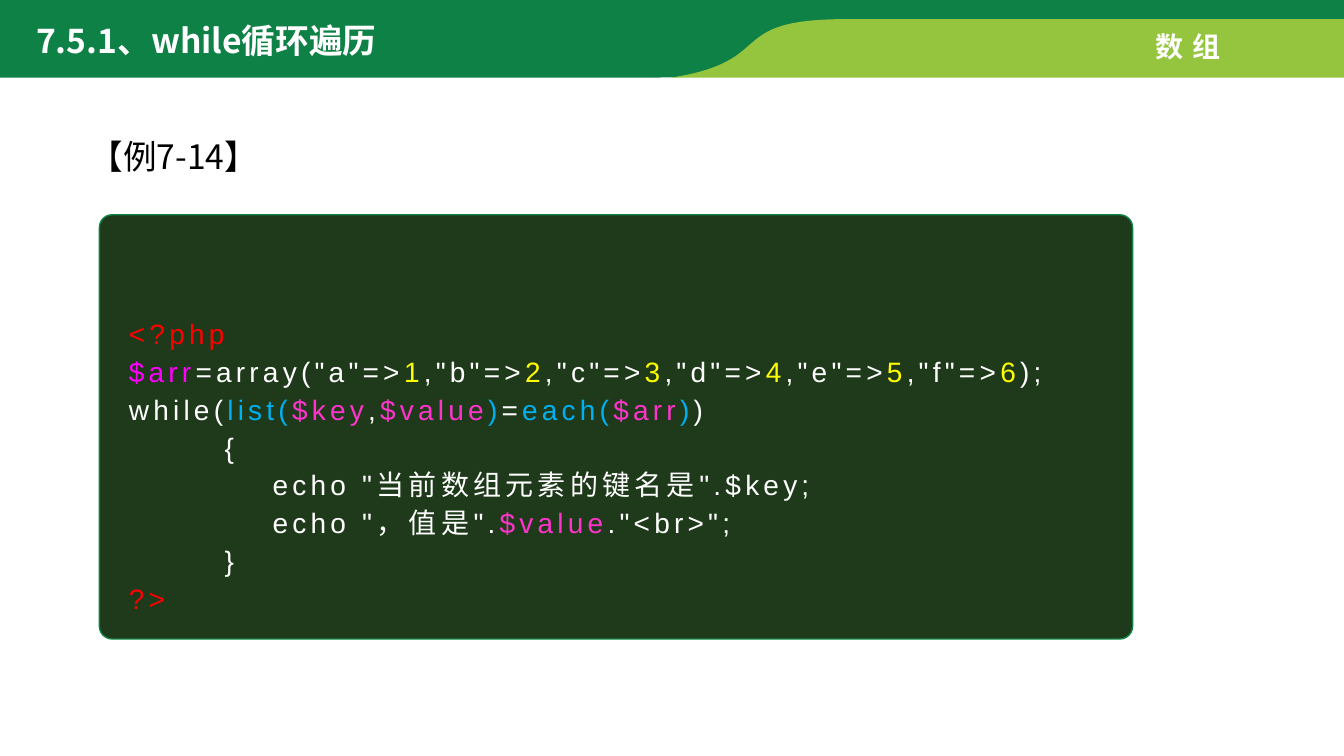
import pptx
import pptx.dml.color
import pptx.enum.shapes
import pptx.enum.text
import pptx.util

Pt = pptx.util.Pt
SANS = "Noto Sans CJK SC"
WHITE, RED, YELLOW = "FFFFFF", "FF0000", "FFFF00"
MAGENTA, PINK, BLUE = "FF00FF", "FF33CC", "00B0F0"
GREEN, LIME, DARK = "0E8146", "95C53E", "1E3A1A"


def colour(code):
    return pptx.dml.color.RGBColor.from_string(code)


def write(para, text, size=20, ink=WHITE, font="Arial", bold=False, spacing=0):
    span = para.add_run()
    span.text = text
    span.font.size = Pt(size)
    span.font.bold = bold
    span.font.color.rgb = colour(ink)
    span.font.name = font
    properties = span.font._element
    if spacing:
        properties.set("spc", str(spacing * 100))
    east_asian = pptx.oxml.parse_xml(
        '<a:ea xmlns:a="http://schemas.openxmlformats.org/drawingml/2006/main" '
        f'typeface="{SANS}"/>'
    )
    properties.find(pptx.oxml.ns.qn("a:latin")).addnext(east_asian)


deck = pptx.Presentation()
deck.slide_width = Pt(960)
deck.slide_height = Pt(540)
page = deck.slides.add_slide(deck.slide_layouts[6])

bands = [
    (GREEN, [(0, 55.4), (0, 0), (960, 0), (960, 17.3), (595.4, 17.3)],
     [(582.5, 20.2), (523.4, 31.7), (554.4, 55.4), (471.6, 55.4)]),
    (LIME, [(604, 13.7), (960, 13.7), (960, 55.4)],
     [(480, 55.4), (556.6, 43.2), (516.2, 13.7), (604, 13.7)]),
]
STEPS = 32
for fill, corners, controls in bands:
    outline = list(corners)
    for step in range(STEPS + 1):
        t = step / STEPS
        weights = [(1 - t) ** 3, 3 * t * (1 - t) ** 2, 3 * t ** 2 * (1 - t), t ** 3]
        outline.append(tuple(
            sum(weight * point[axis] for weight, point in zip(weights, controls))
            for axis in (0, 1)
        ))
    points = [(Pt(x), Pt(y)) for x, y in outline]
    builder = page.shapes.build_freeform(*points[0])
    builder.add_line_segments(points[1:], close=True)
    band = builder.convert_to_shape()
    band.shadow.inherit = False
    band.fill.solid()
    band.fill.fore_color.rgb = colour(fill)
    band.line.fill.background()

panel = page.shapes.add_shape(
    pptx.enum.shapes.MSO_SHAPE.ROUNDED_RECTANGLE, Pt(71), Pt(153.4), Pt(738), Pt(303)
)
panel.adjustments[0] = 0.03
panel.shadow.inherit = False
panel.fill.solid()
panel.fill.fore_color.rgb = colour(DARK)
panel.line.color.rgb = colour(GREEN)
panel.line.width = Pt(1)

code = [
    [("<?php", RED)],
    [("$arr", MAGENTA), ('=array("a"=>', WHITE), ("1", YELLOW)]
    + [part for number, key in enumerate("bcdef", 2)
       for part in ((f',"{key}"=>', WHITE), (str(number), YELLOW))]
    + [(");", WHITE)],
    [("while(", WHITE), ("list(", BLUE), ("$key", PINK), (",", WHITE), ("$value", PINK),
     (")", BLUE), ("=", WHITE), ("each(", BLUE), ("$arr", PINK), (")", BLUE), (")", WHITE)],
    [("        {", WHITE)],
    [('            echo "当前数组元素的键名是".$key;', WHITE)],
    [('            echo "，值是".', WHITE), ("$value", PINK), ('."<br>";', WHITE)],
    [("        }", WHITE)],
    [("?>", RED)],
]
heading = {"size": 24, "font": SANS}
texts = [
    ((818.6, 17.3, 67, 31.7), False, None, [[("数组", WHITE)]], {"bold": True, "spacing": 6}),
    ((18.7, 10.8, 365.8, 36), True, None, [[("7.5.1、while循环遍历", WHITE)]],
     {**heading, "bold": True}),
    ((56.9, 79.2, 327.6, 51.1), True, 1.5, [[("【例7-14】", "000000")]], heading),
    ((85, 219.6, 672.5, 225.4), True, Pt(27), code, {"spacing": 3}),
]
for place, wrap, leading, lines, style in texts:
    box = page.shapes.add_textbox(*map(Pt, place))
    frame = box.text_frame
    frame.word_wrap = wrap
    frame.auto_size = pptx.enum.text.MSO_AUTO_SIZE.SHAPE_TO_FIT_TEXT
    for index, line in enumerate(lines):
        para = frame.add_paragraph() if index else frame.paragraphs[0]
        if leading:
            para.line_spacing = leading
        for text, ink in line:
            write(para, text, ink=ink, **style)

deck.save("out.pptx")
